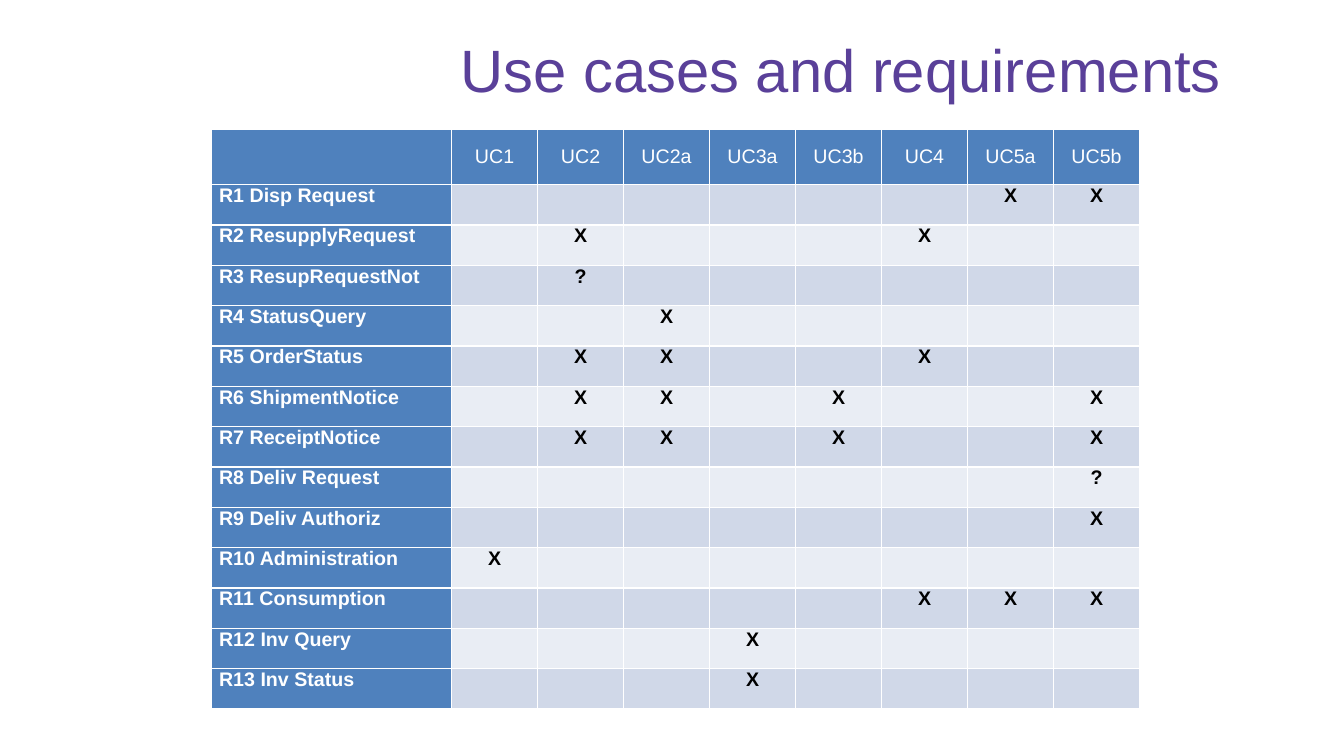
from pptx import Presentation
from pptx.dml.color import RGBColor
from pptx.enum.text import MSO_ANCHOR, PP_ALIGN
from pptx.util import Pt

PX = 6096
LEFT, CENTER = PP_ALIGN.LEFT, PP_ALIGN.CENTER
TOP, MIDDLE = MSO_ANCHOR.TOP, MSO_ANCHOR.MIDDLE
PURPLE = RGBColor(0x5A, 0x40, 0x99)
BLUE = RGBColor(0x4F, 0x81, 0xBD)
BAND_DARK = RGBColor(0xD0, 0xD8, 0xE8)
BAND_LIGHT = RGBColor(0xE9, 0xED, 0xF4)
WHITE = RGBColor(0xFF, 0xFF, 0xFF)
BLACK = RGBColor(0, 0, 0)

USE_CASES = ["UC1", "UC2", "UC2a", "UC3a", "UC3b", "UC4", "UC5a", "UC5b"]
REQUIREMENTS = [
    ("R1 Disp Request", {"UC5a": "X", "UC5b": "X"}),
    ("R2 ResupplyRequest", {"UC2": "X", "UC4": "X"}),
    ("R3 ResupRequestNot", {"UC2": "?"}),
    ("R4 StatusQuery", {"UC2a": "X"}),
    ("R5 OrderStatus", {"UC2": "X", "UC2a": "X", "UC4": "X"}),
    ("R6 ShipmentNotice", {"UC2": "X", "UC2a": "X", "UC3b": "X", "UC5b": "X"}),
    ("R7 ReceiptNotice", {"UC2": "X", "UC2a": "X", "UC3b": "X", "UC5b": "X"}),
    ("R8 Deliv Request", {"UC5b": "?"}),
    ("R9 Deliv Authoriz", {"UC5b": "X"}),
    ("R10 Administration", {"UC1": "X"}),
    ("R11 Consumption", {"UC4": "X", "UC5a": "X", "UC5b": "X"}),
    ("R12 Inv Query", {"UC3a": "X"}),
    ("R13 Inv Status", {"UC3a": "X"}),
]


def style_paragraph(paragraph, text, size, color, bold, alignment):
    paragraph.text = text
    paragraph.alignment = alignment
    paragraph.font.name = "Arial"
    paragraph.font.size = Pt(size)
    paragraph.font.bold = bold
    paragraph.font.color.rgb = color


def add_title(slide, left, top, width, height):
    shape = slide.shapes.add_textbox(left * PX, top * PX, width * PX, height * PX)
    frame = shape.text_frame
    frame.word_wrap = True
    frame.vertical_anchor = MIDDLE
    style_paragraph(frame.paragraphs[0], "Use cases and requirements", 42.7, PURPLE, False, CENTER)


def fill_cell(cell, text, fill, color, bold, alignment, anchor):
    cell.fill.solid()
    cell.fill.fore_color.rgb = fill
    cell.vertical_anchor = anchor
    cell.margin_left = cell.margin_right = 11 * PX
    cell.margin_top = cell.margin_bottom = 0
    paragraph = cell.text_frame.paragraphs[0]
    paragraph.space_before = Pt(6)
    style_paragraph(paragraph, text, 14, color, bold, alignment)


def add_matrix(slide, left, top, width, height):
    label_width, header_height = 357, 83
    column_width = (width - label_width) // len(USE_CASES)
    row_height = (height - header_height) // len(REQUIREMENTS)
    table = slide.shapes.add_table(
        len(REQUIREMENTS) + 1, len(USE_CASES) + 1,
        left * PX, top * PX, width * PX, height * PX).table
    for index, column in enumerate(table.columns):
        column.width = (column_width if index else label_width) * PX
    for index, row in enumerate(table.rows):
        row.height = (row_height if index else header_height) * PX

    for column, heading in enumerate([""] + USE_CASES):
        fill_cell(table.cell(0, column), heading, BLUE, WHITE, False, CENTER, MIDDLE)
    for row, (requirement, marks) in enumerate(REQUIREMENTS, 1):
        fill_cell(table.cell(row, 0), requirement, BLUE, WHITE, True, LEFT, TOP)
        band = BAND_DARK if row % 2 else BAND_LIGHT
        for column, use_case in enumerate(USE_CASES, 1):
            fill_cell(table.cell(row, column), marks.get(use_case, ""),
                      band, BLACK, True, CENTER, TOP)


def main():
    presentation = Presentation()
    presentation.slide_width = 2000 * PX
    presentation.slide_height = 1125 * PX
    slide = presentation.slides.add_slide(presentation.slide_layouts[6])
    add_title(slide, 614, 41, 1275, 123)
    add_matrix(slide, 315, 192, 1381, 863)
    presentation.save("out.pptx")


if __name__ == "__main__":
    main()
